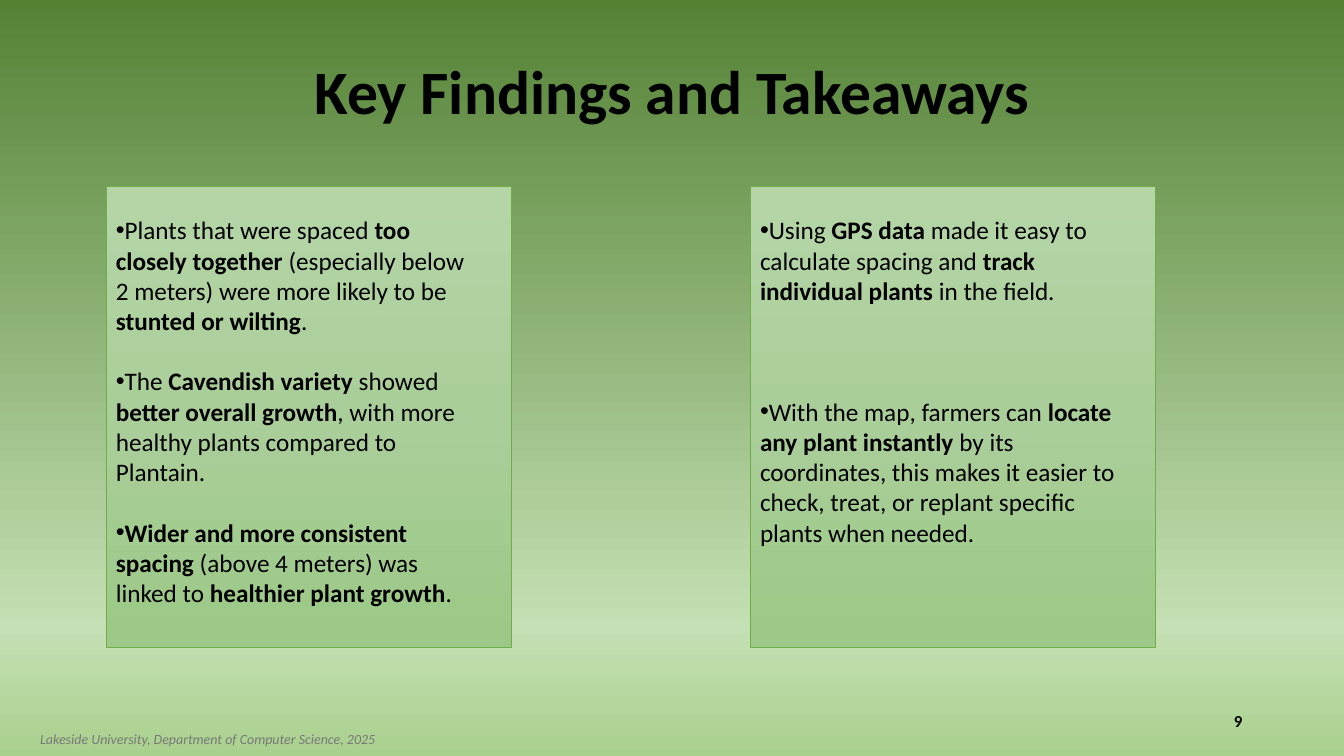
from dataclasses import dataclass

from lxml.etree import SubElement
from pptx import Presentation
from pptx.dml.color import RGBColor
from pptx.enum.shapes import MSO_SHAPE
from pptx.enum.text import MSO_ANCHOR, MSO_AUTO_SIZE, PP_ALIGN
from pptx.oxml.ns import qn
from pptx.util import Inches, Pt


@dataclass(frozen=True)
class Theme:
    font: str = "Calibri"
    title: int = 44
    body: int = 18
    number: int = 12
    footer: int = 10
    ink: str = "000000"
    muted: str = "787878"
    edge: str = "70AD47"
    backdrop: tuple = ((0, "548235"), (83, "C5E0B4"), (100, "A9D18E"))
    panel: tuple = ((0, "B5D5A7"), (50, "AACE9A"), (100, "9CC987"))


def add_text(p, text, font, size, color, bold=False, italic=False):
    """Add text to a paragraph; parts between ** marks are bold."""
    for i, part in enumerate(text.split("**")):
        if part:
            r = p.add_run()
            r.text = part
            r.font.name, r.font.size = font, Pt(size)
            r.font.color.rgb = RGBColor.from_string(color)
            r.font.bold = bold or i % 2 == 1
            r.font.italic = italic


class Deck:
    """Holds the theme and current slide; lengths are percent of the slide."""

    def __init__(self, theme):
        self.theme = theme
        self.prs = Presentation()
        self.prs.slide_width, self.prs.slide_height = Inches(13.33), Inches(7.5)
        self.s = self.prs.slides.add_slide(self.prs.slide_layouts[6])

    def place(self, x, y, w, h):
        width, height = self.prs.slide_width, self.prs.slide_height
        return [int(v * full / 100) for v, full in
                ((x, width), (y, height), (w, width), (h, height))]

    def gradient(self, fill, owner, stops):
        """Fill from top to bottom through any number of colour stops."""
        fill.gradient()
        fill.gradient_angle = 270
        stop_list = next(owner.iter(qn("a:gsLst")))
        for old in list(stop_list):
            stop_list.remove(old)
        for position, color in stops:
            stop = SubElement(stop_list, qn("a:gs"), pos=str(position * 1000))
            SubElement(stop, qn("a:srgbClr"), val=color)

    def background(self):
        self.gradient(self.s.background.fill, self.s.element, self.theme.backdrop)

    def panel(self, *box):
        sp = self.s.shapes.add_shape(MSO_SHAPE.RECTANGLE, *self.place(*box))
        sp.shadow.inherit = False
        self.gradient(sp.fill, sp.element, self.theme.panel)
        sp.line.color.rgb = RGBColor.from_string(self.theme.edge)
        sp.line.width = Pt(0.5)

    def text(self, box, lines, size, color=None, align=PP_ALIGN.LEFT,
             anchor=MSO_ANCHOR.TOP, spacing=None, gap=0, bullet=None,
             grow=False, **style):
        sp = self.s.shapes.add_textbox(*self.place(*box))
        tf = sp.text_frame
        tf.word_wrap, tf.vertical_anchor = True, anchor
        if grow:
            tf.auto_size = MSO_AUTO_SIZE.SHAPE_TO_FIT_TEXT
        for i, line in enumerate(lines):
            p = tf.add_paragraph() if i else tf.paragraphs[0]
            p.alignment = align
            if spacing:
                p.line_spacing = spacing
            if i:
                p.space_before = Pt(gap)
            if bullet:
                pPr = p._p.get_or_add_pPr()
                pPr.set("marL", "0")
                pPr.set("indent", "0")
                SubElement(pPr, qn("a:buFont"), typeface="Arial")
                SubElement(pPr, qn("a:buChar"), char=bullet)
            add_text(p, line, self.theme.font, size, color or self.theme.ink, **style)


# Each column: left edge, text height, blank lines between findings, findings
COLUMNS = [
    (7.88, 57.87, 1, [
        "Plants that were spaced **too closely together** (especially below "
        "2 meters) were more likely to be **stunted or wilting**.",
        "The **Cavendish variety** showed **better overall growth**, with more "
        "healthy plants compared to Plantain.",
        "**Wider and more consistent spacing** (above 4 meters) was linked to "
        "**healthier plant growth**.",
    ]),
    (55.81, 49.87, 3, [
        "Using **GPS data** made it easy to calculate spacing and "
        "**track individual plants** in the field.",
        "With the map, farmers can **locate any plant instantly** by its "
        "coordinates, this makes it easier to check, treat, or replant "
        "specific plants when needed.",
    ]),
]


def main():
    theme = Theme()
    deck = Deck(theme)
    deck.background()

    # Title
    deck.text((6.9, 2.8, 86.27, 19.33), ["Key Findings and Takeaways"], theme.title,
              align=PP_ALIGN.CENTER, anchor=MSO_ANCHOR.MIDDLE, spacing=0.9, bold=True)

    # Findings
    line_height = 1.2 * theme.body
    for x, height, blank_lines, findings in COLUMNS:
        deck.panel(x, 24.67, 30.16, 60.93)
        deck.text((x, 27.73, 28.58, height), findings, theme.body,
                  gap=blank_lines * line_height, bullet="•", grow=True)

    # Footer and slide number
    deck.text((2.25, 96, 90, 4),
              ["Lakeside University, Department of Computer Science, 2025"],
              theme.footer, theme.muted, italic=True)
    deck.text((70.67, 92.67, 22.5, 5.33), ["9"], theme.number,
              align=PP_ALIGN.RIGHT, anchor=MSO_ANCHOR.MIDDLE, bold=True)

    deck.prs.save("out.pptx")


if __name__ == "__main__":
    main()
